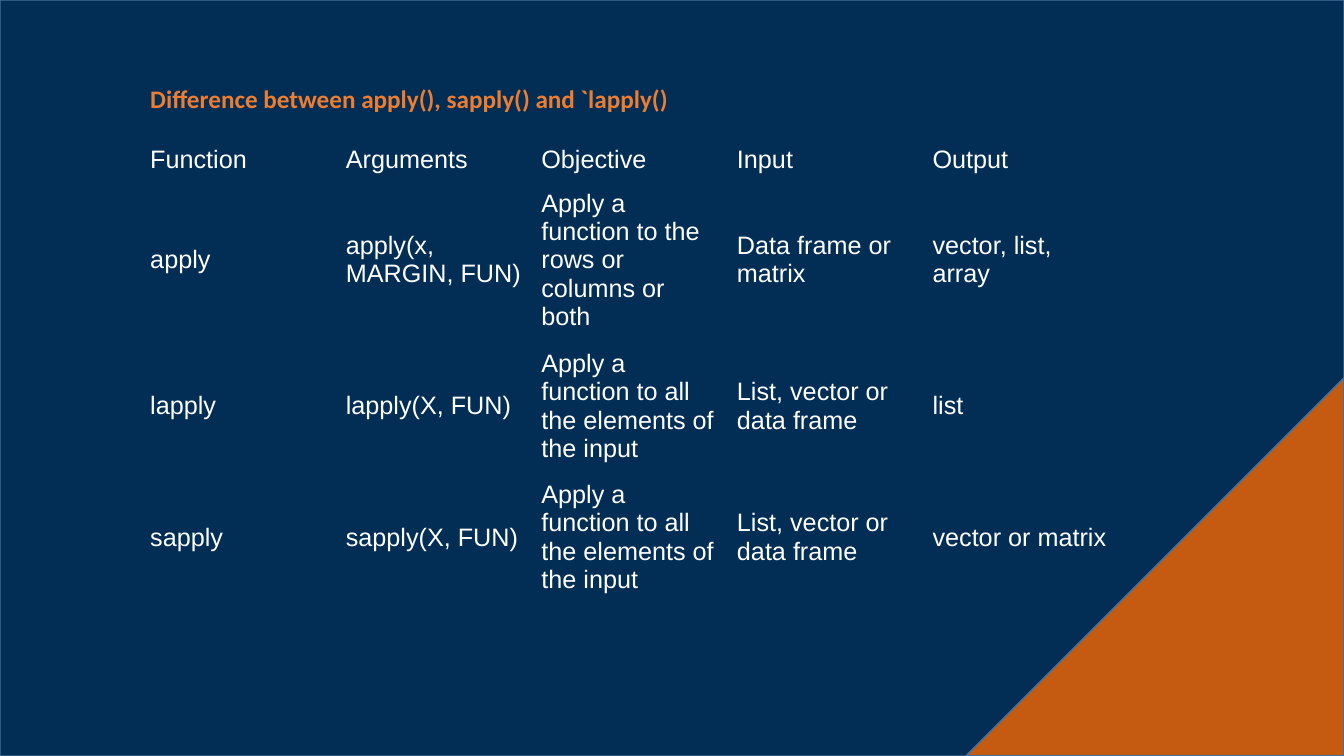
from pptx import Presentation
from pptx.dml.color import RGBColor
from pptx.enum.shapes import MSO_SHAPE
from pptx.enum.text import MSO_ANCHOR, MSO_AUTO_SIZE, PP_ALIGN
from pptx.util import Inches, Pt

NAVY = "022E56"
DARK_ORANGE = "C55A11"
ORANGE = "ED7D31"
OUTLINE = "42719B"
WHITE = "FFFFFF"

FUNCTION_ROWS = [
    ["Function", "Arguments", "Objective", "Input", "Output"],
    ["apply", "apply(x, MARGIN, FUN)", "Apply a function to the rows or columns or both",
     "Data frame or matrix", "vector, list, array"],
    ["lapply", "lapply(X, FUN)", "Apply a function to all the elements of the input",
     "List, vector or data frame", "list"],
    ["sapply", "sapply(X, FUN)", "Apply a function to all the elements of the input",
     "List, vector or data frame", "vector or matrix"],
]
ROW_HEIGHTS = [0.39, 1.6, 1.3, 1.3]
COLUMN_WIDTH = 1.94


def color(hex_string):
    return RGBColor.from_string(hex_string)


class SlideBuilder:
    text_size = 18
    heading_font = "Calibri"
    body_font = "Arial"

    def __init__(self, presentation):
        self.slide = presentation.slides.add_slide(presentation.slide_layouts[5])
        self.width = presentation.slide_width
        self.height = presentation.slide_height

    def format_runs(self, paragraph, font_name, hex_string, bold=False):
        paragraph.alignment = PP_ALIGN.LEFT
        for run in paragraph.runs:
            run.font.name = font_name
            run.font.size = Pt(self.text_size)
            run.font.bold = bold
            run.font.color.rgb = color(hex_string)

    def backdrop(self, preset, fill):
        shape = self.slide.shapes.add_shape(preset, 0, 0, self.width, self.height)
        shape.shadow.inherit = False
        shape.fill.solid()
        shape.fill.fore_color.rgb = color(fill)
        shape.line.color.rgb = color(OUTLINE)
        shape.line.width = Pt(1)
        return shape

    def title(self, text, left, top, width, height):
        title = self.slide.shapes.title
        title.left, title.top = Inches(left), Inches(top)
        title.width, title.height = Inches(width), Inches(height)
        text_frame = title.text_frame
        text_frame.text = text
        text_frame.word_wrap = True
        text_frame.auto_size = MSO_AUTO_SIZE.NONE
        text_frame.vertical_anchor = MSO_ANCHOR.TOP
        self.format_runs(text_frame.paragraphs[0], self.heading_font, ORANGE, bold=True)
        title.element.getparent().append(title.element)

    def table(self, rows, left, top, column_width, row_heights):
        column_count = len(rows[0])
        table = self.slide.shapes.add_table(
            len(rows), column_count, Inches(left), Inches(top),
            Inches(column_width * column_count), Inches(sum(row_heights))).table
        table.first_row = False
        table.horz_banding = False
        for column in table.columns:
            column.width = Inches(column_width)
        for row, height, texts in zip(table.rows, row_heights, rows):
            row.height = Inches(height)
            for cell, text in zip(row.cells, texts):
                cell.text_frame.text = text
                cell.vertical_anchor = MSO_ANCHOR.MIDDLE
                cell.fill.solid()
                cell.fill.fore_color.rgb = color(NAVY)
                self.format_runs(cell.text_frame.paragraphs[0], self.body_font, WHITE)
        properties = table._tbl.tblPr
        for style in list(properties):
            style.text = "{2D5ABB26-0587-4C30-8999-92F81FD0307C}"


def main():
    presentation = Presentation()
    presentation.slide_width = Inches(13.33)
    presentation.slide_height = Inches(7.5)
    builder = SlideBuilder(presentation)

    builder.backdrop(MSO_SHAPE.RECTANGLE, DARK_ORANGE)
    panel = builder.backdrop(MSO_SHAPE.SNIP_1_RECTANGLE, NAVY)
    panel.adjustments[0] = 0.5
    panel.rotation = 180
    panel.element.spPr.get_or_add_xfrm().set("flipH", "1")

    builder.title("Difference between apply(), sapply() and `lapply()", 1.39, 0.78, 10.55, 0.5)
    builder.table(FUNCTION_ROWS, 1.39, 1.39, COLUMN_WIDTH, ROW_HEIGHTS)
    presentation.save("out.pptx")


if __name__ == "__main__":
    main()
